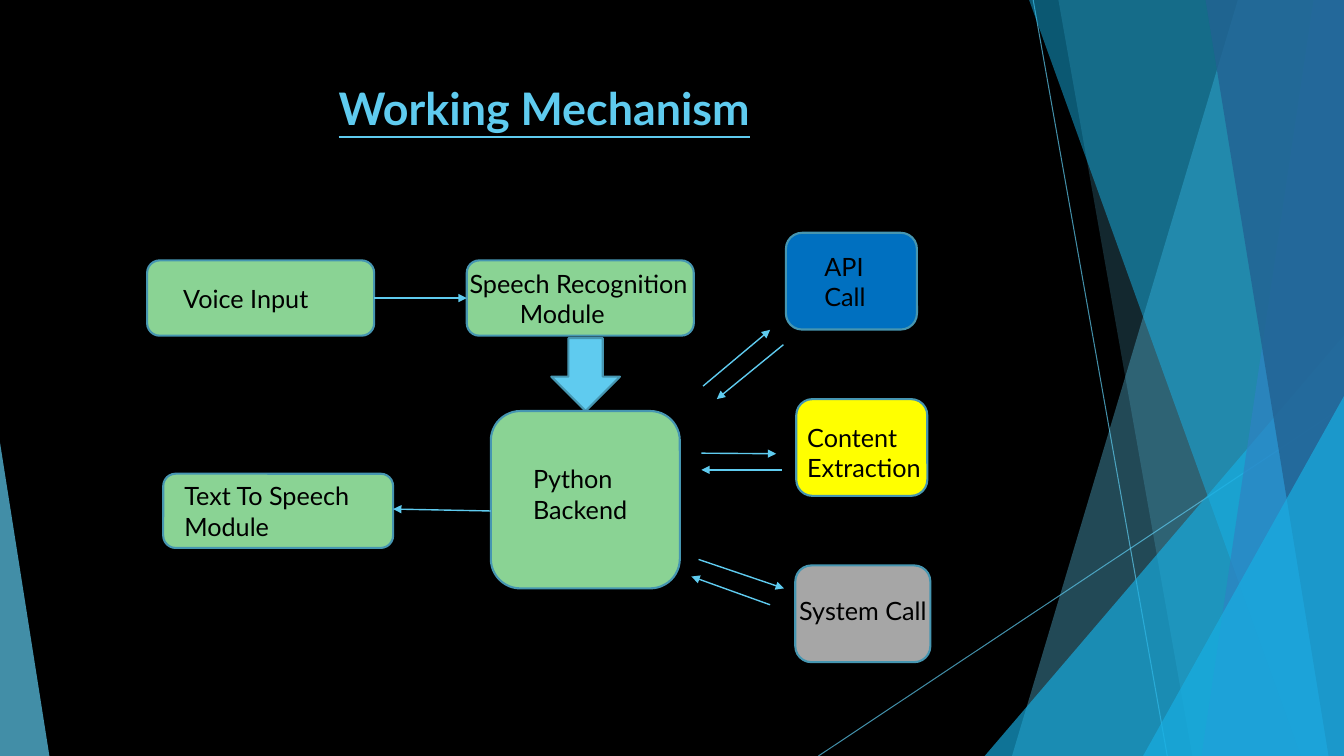
import lxml.etree
import pptx
import pptx.dml.color
import pptx.enum.shapes
import pptx.enum.text
import pptx.oxml.ns
import pptx.util

Pt = pptx.util.Pt
SHAPE = pptx.enum.shapes.MSO_SHAPE
WIDTH, HEIGHT = 960, 540
FONT = "Lato"
BLACK, SKY, CYAN, EDGE, GREEN = "000000", "5FCBEF", "17B0E4", "4696B1", "8AD394"

BACKDROP_LINES = [((738, 0), (833.8, HEIGHT)), ((WIDTH, 290.2), (584.6, HEIGHT))]
FACETS = [
    ("band", 884.2, 722.9, SKY, 36),
    ("band", 756, 851.8, SKY, 20),
    ("corner", 703.4, 239.8, CYAN, 66),
    ("band", 735.1, 929.5, CYAN, 50),
    ("band", 938.2, 858.2, "2E83C3", 70),
    ("band", 861.1, 949, "226292", 80),
    ("corner", 816.5, 283, CYAN, 66),
]
NODES = [
    (SHAPE.ROUNDED_RECTANGLE, (105.1, 186, 162.2, 53.8), GREEN),
    (SHAPE.ROUNDED_RECTANGLE, (333.4, 186, 162.2, 53.8), GREEN),
    (SHAPE.DOWN_ARROW, (393.8, 241.6, 49, 52), SKY),
    (SHAPE.ROUNDED_RECTANGLE, (116.6, 338.4, 164.2, 53), GREEN),
    (SHAPE.ROUNDED_RECTANGLE, (350.6, 293.6, 135, 126.7), GREEN),
    (SHAPE.ROUNDED_RECTANGLE, (561.4, 166.3, 93.6, 69.1), "0070C0"),
    (SHAPE.ROUNDED_RECTANGLE, (568.8, 285.1, 93.6, 69.1), "FFFF00"),
    (SHAPE.ROUNDED_RECTANGLE, (568.1, 403.9, 96.5, 69.1), "A6A6A6"),
]
ARROWS = [
    ((267.3, 212.9), (333.4, 212.9)),
    ((350.6, 365), (280.8, 363.6)),
    ((502.2, 275.8), (550.1, 235.6)),
    ((559.6, 246.2), (512, 285.1)),
    ((501, 323.7), (554.4, 324.1)),
    ((558.3, 335.6), (501, 335.6)),
    ((499, 399.6), (560, 420.3)),
    ((550.1, 432), (493.9, 411.8)),
]
LABELS = [
    ("Voice Input", (123.8, 198.7, 124.6, 28.8), 0),
    ("Speech Recognition Module", (328.3, 187.9, 180, 51.1), 36),
    ("Python Backend", (373.7, 327.6, 124.6, 51.1), 0),
    ("API\nCall", (581.8, 175.7, 69.1, 51.1), 0),
    ("Text To Speech Module", (124.6, 339.8, 158.4, 51.1), 0),
    ("System Call", (563.8, 421.9, 114.5, 28.8), 0),
    ("Content Extraction", (569.5, 298.1, 102.2, 51.1), 0),
]


def points(values):
    """Convert a sequence of numbers to point lengths."""
    return [Pt(value) for value in values]


def add_element(parent, tag, **attributes):
    """Append a drawing element to its XML parent."""
    lxml.etree.SubElement(parent, pptx.oxml.ns.qn(tag), attributes)


def set_color(color_format, color, opacity=100):
    """Apply a hex colour and an opacity in percent."""
    color_format.rgb = pptx.dml.color.RGBColor.from_string(color)
    if opacity < 100:
        element = color_format._xFill.find(pptx.oxml.ns.qn("a:srgbClr"))
        add_element(element, "a:alpha", val=str(opacity * 1000))


def paint(shape, color, opacity=100, edge=None):
    """Fill a shape and give it an outline only when asked."""
    shape.shadow.inherit = False
    shape.fill.solid()
    set_color(shape.fill.fore_color, color, opacity)
    if edge:
        set_color(shape.line.color, edge)
        shape.line.width = Pt(1.5)
    else:
        shape.line.fill.background()


def add_line(slide, start, end, width, opacity=100, arrow=False):
    """Draw a straight line, optionally with an arrowhead at its end."""
    connector = slide.shapes.add_connector(
        pptx.enum.shapes.MSO_CONNECTOR.STRAIGHT, *points(start + end))
    connector.line.width = Pt(width)
    connector.line.fill.solid()
    set_color(connector.line.fill.fore_color, SKY, opacity)
    properties = connector._element.spPr
    if arrow:
        add_element(properties.find(pptx.oxml.ns.qn("a:ln")), "a:tailEnd", type="triangle")
    add_element(properties, "a:effectLst")


def add_band(slide, top_left, bottom_left, color, opacity):
    """Draw a full-height band with a slanted left side."""
    builder = slide.shapes.build_freeform(Pt(top_left), 0)
    corners = [(WIDTH, 0), (WIDTH, HEIGHT), (bottom_left, HEIGHT)]
    builder.add_line_segments([points(corner) for corner in corners], close=True)
    paint(builder.convert_to_shape(), color, opacity)


def add_corner(slide, left, top, right, apex, color, opacity):
    """Draw a right triangle standing on the bottom edge."""
    box = points((left, top, right - left, HEIGHT - top))
    triangle = slide.shapes.add_shape(SHAPE.ISOSCELES_TRIANGLE, *box)
    triangle.adjustments[0] = apex
    paint(triangle, color, opacity)


def add_backdrop(slide):
    """Draw the black background and its translucent facets."""
    slide.background.fill.solid()
    set_color(slide.background.fill.fore_color, BLACK)
    for start, end in BACKDROP_LINES:
        add_line(slide, start, end, 0.75, opacity=70)
    for kind, first, second, color, opacity in FACETS:
        if kind == "band":
            add_band(slide, first, second, color, opacity)
        else:
            add_corner(slide, first, second, WIDTH, 1, color, opacity)
    add_corner(slide, 0, 316.1, 35.3, 0, SKY, 70)


def format_runs(text_frame, size, color, bold=False, underline=False):
    """Format every run of a text frame."""
    for paragraph in text_frame.paragraphs:
        for run in paragraph.runs:
            run.font.name = FONT
            run.font.size = Pt(size)
            run.font.bold = bold
            run.font.underline = underline
            set_color(run.font.color, color)


def add_node(slide, preset, box, color):
    """Draw one outlined shape of the flow."""
    paint(slide.shapes.add_shape(preset, *points(box)), color, edge=EDGE)


def add_label(slide, text, box, hanging):
    """Write a node label, with a hanging indent for wrapped lines."""
    text_frame = slide.shapes.add_textbox(*points(box)).text_frame
    text_frame.word_wrap = True
    text_frame.text = text
    format_runs(text_frame, 18, BLACK)
    if hanging:
        properties = text_frame.paragraphs[0]._p.get_or_add_pPr()
        properties.set("marL", str(Pt(hanging)))
        properties.set("indent", str(-Pt(hanging)))


def set_title(slide, text, box):
    """Place and format the slide title."""
    title = slide.shapes.title
    title.left, title.top, title.width, title.height = points(box)
    text_frame = title.text_frame
    text_frame.text = text
    text_frame.auto_size = pptx.enum.text.MSO_AUTO_SIZE.NONE
    text_frame.vertical_anchor = pptx.enum.text.MSO_ANCHOR.TOP
    text_frame.paragraphs[0].alignment = pptx.enum.text.PP_ALIGN.CENTER
    format_runs(text_frame, 32, SKY, bold=True, underline=True)


def main():
    """Build the working mechanism slide."""
    presentation = pptx.Presentation()
    presentation.slide_width, presentation.slide_height = points((WIDTH, HEIGHT))
    slide = presentation.slides.add_slide(presentation.slide_layouts[5])
    add_backdrop(slide)
    for preset, box, color in NODES:
        add_node(slide, preset, box, color)
    for start, end in ARROWS:
        add_line(slide, start, end, 1, arrow=True)
    for text, box, hanging in LABELS:
        add_label(slide, text, box, hanging)
    set_title(slide, "Working Mechanism", (198.7, 54, 380.2, 46.1))
    presentation.save("out.pptx")


main()
